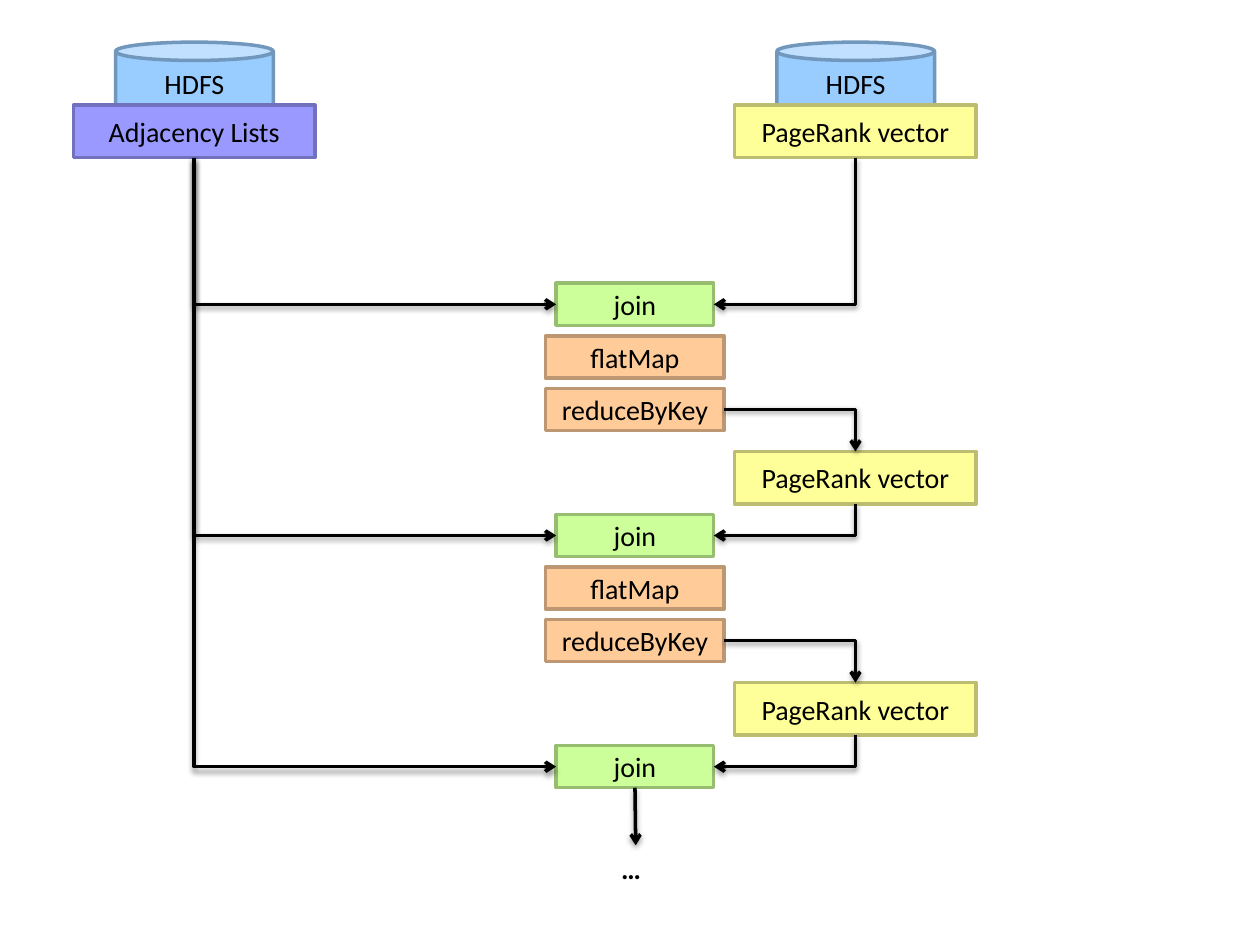
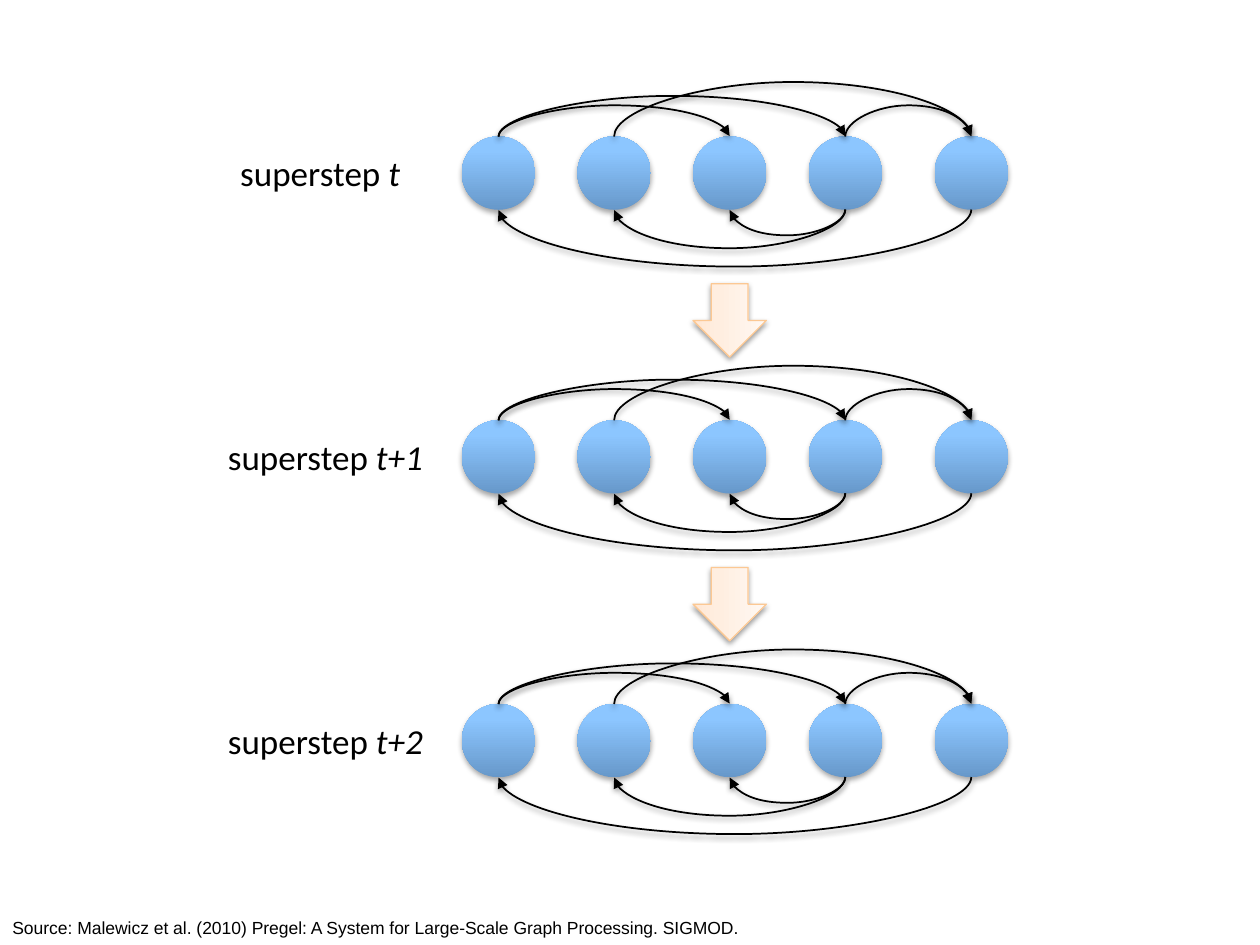
from lxml import etree
from pptx import Presentation
from pptx.dml.color import RGBColor
from pptx.enum.shapes import MSO_CONNECTOR, MSO_SHAPE
from pptx.enum.text import MSO_ANCHOR, MSO_AUTO_SIZE, PP_ALIGN
from pptx.oxml.ns import qn
from pptx.util import Cm, Pt

RECTANGLE, CAN, OVAL = MSO_SHAPE.RECTANGLE, MSO_SHAPE.CAN, MSO_SHAPE.OVAL
RIGHT_ARROW = MSO_SHAPE.RIGHT_ARROW
STRAIGHT, ELBOW, CURVE = MSO_CONNECTOR.STRAIGHT, MSO_CONNECTOR.ELBOW, MSO_CONNECTOR.CURVE
LEFT, CENTER = PP_ALIGN.LEFT, PP_ALIGN.CENTER
MIDDLE, FIT_TEXT = MSO_ANCHOR.MIDDLE, MSO_AUTO_SIZE.SHAPE_TO_FIT_TEXT

BLACK = RGBColor(0x00, 0x00, 0x00)
GREEN = RGBColor(0xCC, 0xFF, 0x99), RGBColor(0x97, 0xBD, 0x71)
ORANGE = RGBColor(0xFF, 0xCC, 0x99), RGBColor(0xBD, 0x97, 0x71)
YELLOW = RGBColor(0xFF, 0xFF, 0x99), RGBColor(0xBD, 0xBD, 0x71)
VIOLET = RGBColor(0x99, 0x99, 0xFF), RGBColor(0x71, 0x71, 0xBD)
BLUE = RGBColor(0x99, 0xCC, 0xFF), RGBColor(0x71, 0x97, 0xBD)
PEACH_EDGE = RGBColor(0xFC, 0xC8, 0x93)
NODE_STOPS = (
    (0, RGBColor(0x67, 0x98, 0xCA)),
    (80, RGBColor(0x8C, 0xC6, 0xFF)),
    (100, RGBColor(0x8E, 0xC7, 0xFF)),
)
STEP_STOPS = (
    (0, RGBColor(0xFF, 0xE7, 0xD4)),
    (35, RGBColor(0xFF, 0xEE, 0xE0)),
    (100, RGBColor(0xFF, 0xF8, 0xF3)),
)

TOP, LEFT_SIDE, BOTTOM, RIGHT_SIDE = range(4)
OVAL_BOTTOM = 4
QUARTER_TURN = 5400000
THIN = Cm(0.01)

SOURCE_WIDTH, SOURCE_HEIGHT = 4.87, 1.06
ROUND_PITCH, OPERATOR_PITCH = 4.66, 1.06
NODE_SIZE = 1.48
NODE_OFFSETS = (0, 2.33, 4.66, 6.99, 9.53)
UPPER_ARCS = ((0, 3, 0.82), (0, 2, 0.63), (1, 4, 1.1), (3, 4, 0.63))
LOWER_ARCS = ((4, 0, 1.15), (3, 1, 0.78), (3, 2, 0.52))
SUPERSTEP_PITCH = 5.72
SUPERSTEPS = (("t", 4.23, 4.45), ("t+1", 4.02, 5.08), ("t+2", 4.02, 5.08))


def write_text(shape, text, size=16, font="Calibri", bold=False, italic_tail="", align=CENTER):
    """Write one paragraph into a shape, with an optional italic ending."""
    para = shape.text_frame.paragraphs[0]
    para.alignment = align
    for words, italic in ((text, False), (italic_tail, True)):
        if words:
            span = para.add_run()
            span.text = words
            span.font.name, span.font.size = font, Pt(size)
            span.font.bold, span.font.italic = bold, italic
            span.font.color.rgb = BLACK


def add_label(page, left, top, width, height, text, wrap=True, **text_format):
    """Add a text box that grows with its text."""
    box = page.shapes.add_textbox(Cm(left), Cm(top), Cm(width), Cm(height))
    box.text_frame.word_wrap = wrap
    box.text_frame.auto_size = FIT_TEXT
    write_text(box, text, **text_format)
    return box


def add_block(page, left, top, width, height, text, colours, preset=RECTANGLE):
    """Add a filled and outlined shape with centred text."""
    block = page.shapes.add_shape(preset, Cm(left), Cm(top), Cm(width), Cm(height))
    block.shadow.inherit = False
    fill, edge = colours
    block.fill.solid()
    block.fill.fore_color.rgb = fill
    block.line.color.rgb = edge
    block.line.width = Pt(2)
    block.text_frame.vertical_anchor = MIDDLE
    write_text(block, text)
    return block


def add_shadow(shape, opacity=38, distance=20000):
    """Give a shape a soft shadow below it."""
    properties = shape._element.spPr
    effects = properties.find(qn("a:effectLst"))
    if effects is None:
        effects = etree.SubElement(properties, qn("a:effectLst"))
    shadow = etree.SubElement(
        effects, qn("a:outerShdw"), blurRad="40000", dist=str(distance),
        dir=str(QUARTER_TURN), rotWithShape="0")
    colour = etree.SubElement(shadow, qn("a:srgbClr"), val=str(BLACK))
    etree.SubElement(colour, qn("a:alpha"), val=str(opacity * 1000))


def add_gradient_shape(page, preset, left, top, stops):
    """Add a node-sized shape with an upward gradient."""
    shape = page.shapes.add_shape(preset, Cm(left), Cm(top), Cm(NODE_SIZE), Cm(NODE_SIZE))
    shape.shadow.inherit = False
    shape.fill.gradient()
    shape.fill.gradient_angle = 90
    stop_list = shape._element.spPr.find(".//" + qn("a:gsLst"))
    stop_list.clear()
    for position, colour in stops:
        stop = etree.SubElement(stop_list, qn("a:gs"), pos=str(position * 1000))
        etree.SubElement(stop, qn("a:srgbClr"), val=str(colour))
    return shape


def add_arrow(page, kind, start, start_side, end, end_side, weight=2, head="arrow"):
    """Join the sides of two shapes with a shadowed arrow."""
    arrow = page.shapes.add_connector(kind, 0, 0, 0, 0)
    arrow.begin_connect(start, start_side)
    arrow.end_connect(end, end_side)
    arrow.line.color.rgb = BLACK
    arrow.line.width = Pt(weight)
    etree.SubElement(arrow.line._ln, qn("a:tailEnd"), type=head)
    add_shadow(arrow)
    return arrow


def orient(arrow, quarters, flip_h=False, flip_v=False):
    """Set the frame of a routed arrow by quarter turns and flips."""
    center_x = (arrow.begin_x + arrow.end_x) // 2
    center_y = (arrow.begin_y + arrow.end_y) // 2
    width = abs(arrow.end_x - arrow.begin_x)
    height = max(abs(arrow.end_y - arrow.begin_y), THIN)
    if quarters % 2:
        width, height = height, width
    arrow.left, arrow.top = center_x - width // 2, center_y - height // 2
    arrow.width, arrow.height = width, height
    frame = arrow._element.spPr.xfrm
    frame.set("rot", str(quarters * QUARTER_TURN))
    frame.set("flipH", str(int(flip_h)))
    frame.set("flipV", str(int(flip_v)))


def add_elbow(page, start, start_side, end, end_side, quarters, flip_h=False):
    """Add an arrow with a single right-angled bend."""
    arrow = add_arrow(page, ELBOW, start, start_side, end, end_side)
    arrow._element.spPr.prstGeom.set("prst", "bentConnector2")
    orient(arrow, quarters, flip_h)


def add_arc(page, start, end, rise, upper):
    """Add a curved arrow above or below a row of nodes."""
    side = TOP if upper else BOTTOM
    arrow = add_arrow(page, CURVE, start, side, end, side, weight=1, head="triangle")
    if not upper:
        joints = arrow._element.nvCxnSpPr.cNvCxnSpPr
        joints.stCxn.idx = joints.endCxn.idx = OVAL_BOTTOM
    orient(arrow, 1, upper, upper)
    guides = arrow._element.spPr.prstGeom.find(qn("a:avLst"))
    bulge = round(Cm(rise) / THIN * 100000)
    etree.SubElement(guides, qn("a:gd"), name="adj1", fmla=f"val {bulge}")


def add_stored_source(page, left, top, text, colours):
    """Add a data block in front of its storage cylinder."""
    add_block(page, left + 0.85, top - 1.27, 3.18, 1.48, "HDFS", BLUE, CAN)
    return add_block(page, left, top, SOURCE_WIDTH, SOURCE_HEIGHT, text, colours)


def add_join(page, left, top, adjacency, vector):
    """Add a join fed by the adjacency lists and a rank vector."""
    join = add_block(page, left + 0.21, top, 3.18, 0.85, "join", GREEN)
    add_elbow(page, adjacency, BOTTOM, join, LEFT_SIDE, 3, flip_h=True)
    add_elbow(page, vector, BOTTOM, join, RIGHT_SIDE, 1)
    return join


def add_round(page, left, top, adjacency, vector):
    """Add one iteration and return the rank vector it produces."""
    add_join(page, left, top, adjacency, vector)
    for row, name in enumerate(("flatMap", "reduceByKey"), 1):
        operator = add_block(page, left, top + row * OPERATOR_PITCH, 3.6, 0.85, name, ORANGE)
    result = add_block(page, left + 3.81, top + 3.39, SOURCE_WIDTH, SOURCE_HEIGHT,
                       "PageRank vector", YELLOW)
    add_elbow(page, operator, RIGHT_SIDE, result, TOP, 0)
    return result


def build_dataflow_page(page):
    """Draw the iterated join of adjacency lists and rank vectors."""
    left, top = 11, 5.71
    adjacency = add_stored_source(page, 1.48, 2.12, "Adjacency Lists", VIOLET)
    vector = add_stored_source(page, left + 3.81, 2.12, "PageRank vector", YELLOW)
    for index in range(2):
        vector = add_round(page, left, top + index * ROUND_PITCH, adjacency, vector)
    last_join = add_join(page, left, top + 2 * ROUND_PITCH, adjacency, vector)
    more = add_label(page, 12.27, 17.04, 1.09, 0.94, "…", wrap=False, bold=True, align=LEFT)
    add_arrow(page, STRAIGHT, last_join, BOTTOM, more, TOP)


def add_superstep(page, left, top):
    """Draw a row of nodes with the messages between them."""
    nodes = []
    for offset in NODE_OFFSETS:
        node = add_gradient_shape(page, OVAL, left + offset, top, NODE_STOPS)
        node.line.fill.background()
        add_shadow(node, opacity=35, distance=23000)
        nodes.append(node)
    for arcs, upper in ((UPPER_ARCS, True), (LOWER_ARCS, False)):
        for start, end, rise in arcs:
            add_arc(page, nodes[start], nodes[end], rise, upper)


def add_step_arrow(page, left, top):
    """Add the block arrow that leads down to the next superstep."""
    arrow = add_gradient_shape(page, RIGHT_ARROW, left, top, STEP_STOPS)
    arrow.rotation = 90
    arrow.line.color.rgb = PEACH_EDGE
    arrow.line.width = Pt(0.75)
    add_shadow(arrow)


def build_superstep_page(page):
    """Draw three successive supersteps and their source line."""
    left, first_top = 9.31, 2.75
    for index, (time, label_left, label_width) in enumerate(SUPERSTEPS):
        top = first_top + index * SUPERSTEP_PITCH
        if index:
            add_step_arrow(page, left + NODE_OFFSETS[2], top - 2.75)
        add_superstep(page, left, top)
        add_label(page, label_left, top + 0.18, label_width, 1.11, "superstep ",
                  size=20, italic_tail=time)
    add_label(page, 0, 18.36, 23.5, 0.68,
              "Source: Malewicz et al. (2010) Pregel: A System for Large-Scale Graph "
              "Processing. SIGMOD.", size=10, font="Arial", align=LEFT)


def main():
    """Build and save the deck."""
    deck = Presentation()
    deck.slide_width, deck.slide_height = Cm(25.4), Cm(19.05)
    blank = deck.slide_layouts[6]
    for build_page in (build_dataflow_page, build_superstep_page):
        build_page(deck.slides.add_slide(blank))
    deck.save("out.pptx")


if __name__ == "__main__":
    main()
